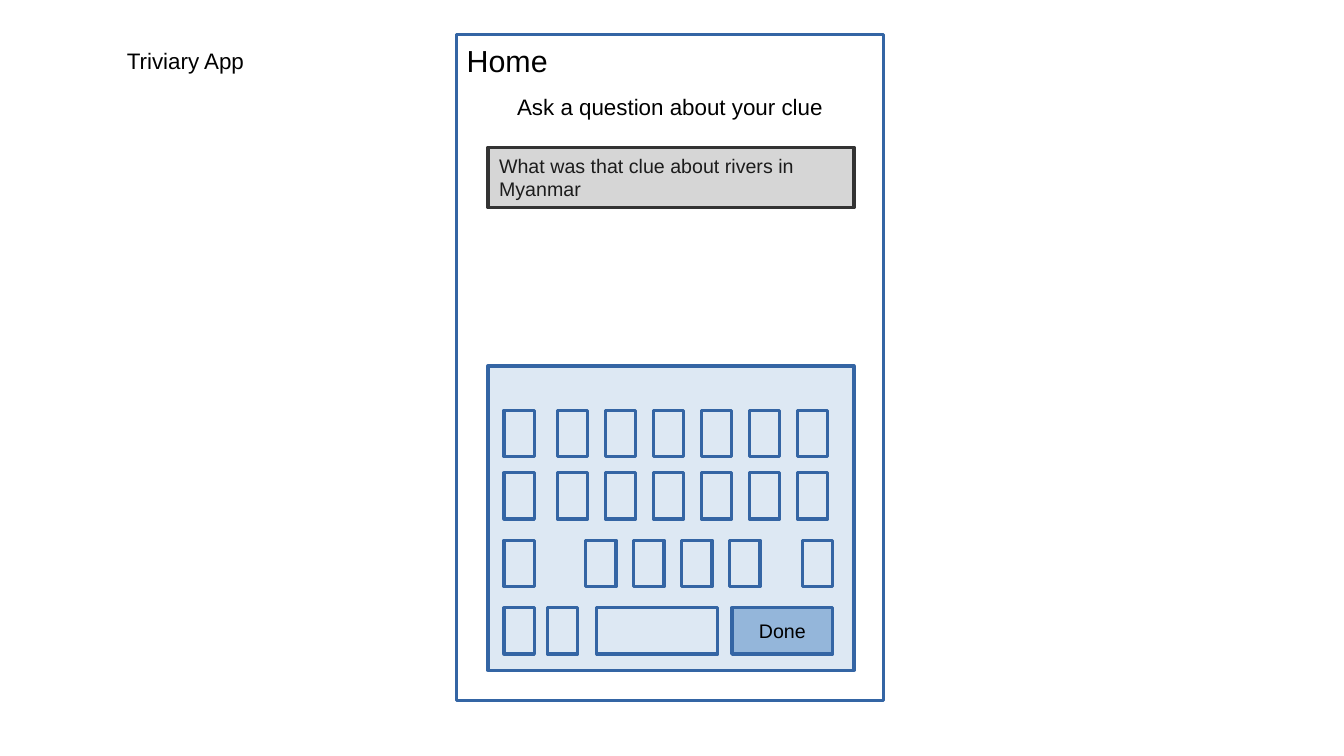
from dataclasses import dataclass

from lxml import etree
from pptx import Presentation
from pptx.dml.color import RGBColor
from pptx.enum.shapes import MSO_SHAPE
from pptx.enum.text import MSO_ANCHOR, PP_ALIGN
from pptx.oxml.ns import qn
from pptx.util import Inches, Pt

RECTANGLE = MSO_SHAPE.RECTANGLE
TOP, MIDDLE = MSO_ANCHOR.TOP, MSO_ANCHOR.MIDDLE
LEFT, CENTER = PP_ALIGN.LEFT, PP_ALIGN.CENTER

FONT = "Arial"
COLORS = {
    "outline": "3465A4",
    "key": "729FCF",
    "field": "333333",
    "answer": "1C1C1C",
    "text": "000000",
}
KEY_WIDTH, KEY_HEIGHT, KEY_STEP = 0.3, 0.46, 0.476
PANEL_LEFT, PANEL_WIDTH = 4.84, 3.63
SCREEN_LEFT, SCREEN_WIDTH = 4.53, 4.23


@dataclass(frozen=True)
class Box:
    left: float
    top: float
    width: float
    height: float

    def lengths(self) -> tuple:
        return tuple(Inches(v) for v in (self.left, self.top, self.width, self.height))


@dataclass(frozen=True)
class KeyRow:
    top: float
    lefts: tuple


def run_of_keys(start: float, count: int) -> tuple:
    return tuple(start + i * KEY_STEP for i in range(count))


LETTER_LEFTS = (5.0, *run_of_keys(5.53, 6))
KEY_ROWS = (
    KeyRow(4.07, LETTER_LEFTS),
    KeyRow(4.69, LETTER_LEFTS),
    KeyRow(5.36, (5.0, *run_of_keys(5.81, 4), 7.96)),
    KeyRow(6.03, (5.0, 5.43)),
)


def write(shape, text: str, *, size: float = 16, color: str = "text",
          align=LEFT, anchor=TOP, inset: tuple = (0.1, 0.05)) -> None:
    frame = shape.text_frame
    frame.word_wrap = True
    frame.vertical_anchor = anchor
    frame.margin_left = frame.margin_right = Inches(inset[0])
    frame.margin_top = frame.margin_bottom = Inches(inset[1])
    paragraph = frame.paragraphs[0]
    paragraph.alignment = align
    run = paragraph.add_run()
    run.text = text
    run.font.name = FONT
    run.font.size = Pt(size)
    run.font.color.rgb = RGBColor.from_string(COLORS[color])


def add_rectangle(slide, box: Box, *, line: str = "outline",
                  fill: str = "", opacity: int = 100):
    shape = slide.shapes.add_shape(RECTANGLE, *box.lengths())
    shape.shadow.inherit = False
    shape.line.color.rgb = RGBColor.from_string(COLORS[line])
    shape.line.width = Pt(2.3)
    if fill:
        shape.fill.solid()
        shape.fill.fore_color.rgb = RGBColor.from_string(COLORS[fill])
        solid = shape._element.spPr.find(qn("a:solidFill"))
        etree.SubElement(solid[0], qn("a:alpha"), val=str(opacity * 1000))
    else:
        shape.fill.background()
    return shape


def add_label(slide, box: Box, text: str, **text_format) -> None:
    write(slide.shapes.add_textbox(*box.lengths()), text, **text_format)


def draw_screen(slide) -> None:
    add_rectangle(slide, Box(SCREEN_LEFT, 0.34, SCREEN_WIDTH, 6.61))
    question = add_rectangle(slide, Box(PANEL_LEFT, 1.46, PANEL_WIDTH, 0.6),
                             line="field", fill="field", opacity=20)
    write(question, "What was that clue about rivers in Myanmar", size=14,
          color="answer", anchor=MIDDLE, inset=(0.11, 0.06))
    add_label(slide, Box(SCREEN_LEFT, 0.37, SCREEN_WIDTH, 0.52), "Home", size=21.7)
    add_label(slide, Box(SCREEN_LEFT, 0.87, SCREEN_WIDTH, 1.07),
              "Ask a question about your clue", align=CENTER)


def draw_keyboard(slide) -> None:
    add_rectangle(slide, Box(PANEL_LEFT, 3.63, PANEL_WIDTH, 3.02),
                  fill="key", opacity=24)
    for row in KEY_ROWS:
        for left in row.lefts:
            add_rectangle(slide, Box(left, row.top, KEY_WIDTH, KEY_HEIGHT))
    bottom = KEY_ROWS[-1].top
    add_rectangle(slide, Box(5.92, bottom, 1.2, KEY_HEIGHT))
    done = add_rectangle(slide, Box(7.26, bottom, 1, KEY_HEIGHT),
                         fill="key", opacity=68)
    write(done, "Done", size=14, align=CENTER, anchor=MIDDLE, inset=(0.11, 0.06))


def main() -> None:
    deck = Presentation()
    deck.slide_width, deck.slide_height = Inches(13.33), Inches(7.5)
    slide = deck.slides.add_slide(deck.slide_layouts[6])
    add_label(slide, Box(0.66, 0.15, 2.36, 0.9), "Triviary App",
              align=CENTER, anchor=MIDDLE, inset=(0, 0))
    draw_screen(slide)
    draw_keyboard(slide)
    deck.save("out.pptx")


if __name__ == "__main__":
    main()
